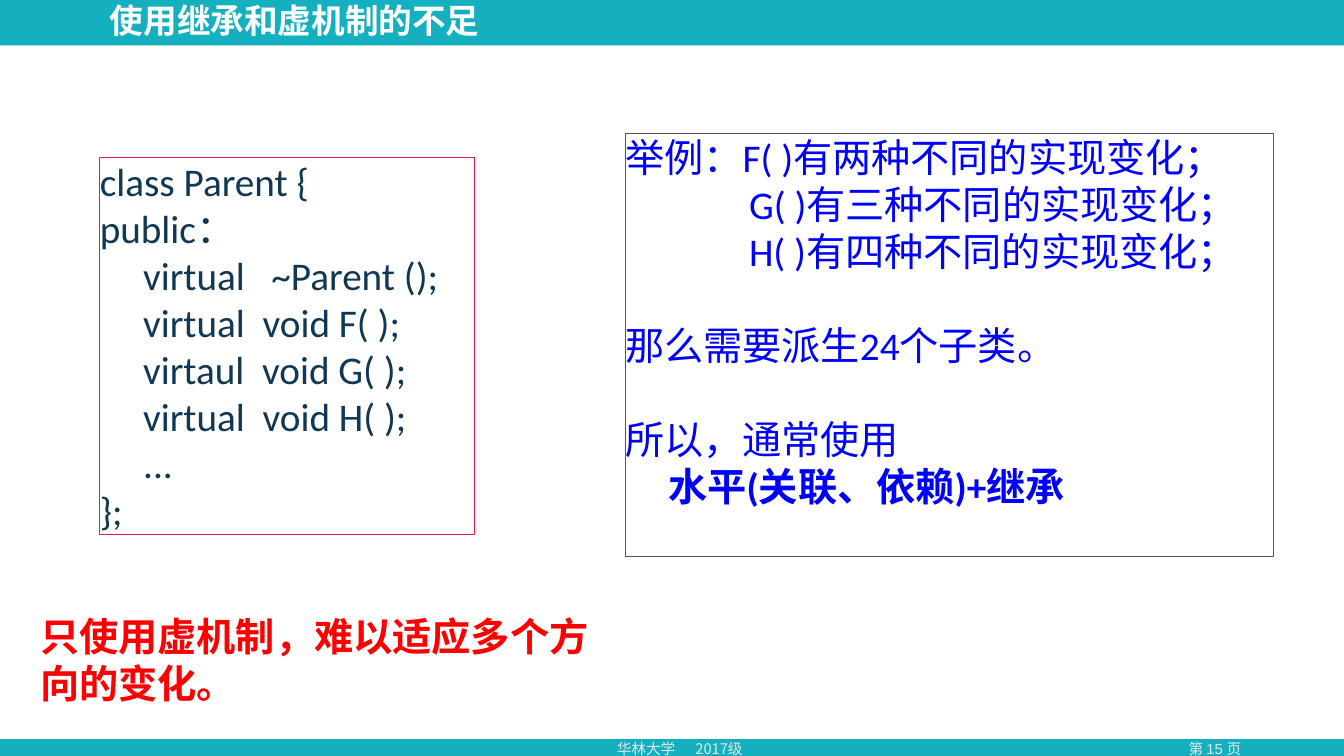
from pptx import Presentation
from pptx.dml.color import RGBColor
from pptx.enum.shapes import MSO_SHAPE
from pptx.enum.text import MSO_ANCHOR, MSO_AUTO_SIZE, PP_ALIGN
from pptx.util import Inches, Pt

RECT = MSO_SHAPE.RECTANGLE
TOP, BOTTOM = MSO_ANCHOR.TOP, MSO_ANCHOR.BOTTOM
LEFT, CENTER = PP_ALIGN.LEFT, PP_ALIGN.CENTER
FIXED = MSO_AUTO_SIZE.NONE
COLORS = {"teal": "14B0C0", "white": "FFFFFF", "pale": "E7E6E6", "navy": "103754",
          "blue": "0000FF", "red": "FF0000", "rose": "E61A4B", "gray": "555555"}
PITCH = 33.6  # line height of the 28 pt text, in points


def color(name):
    return RGBColor.from_string(COLORS[name])


class Deck:
    """Holds the style and the current slide."""

    def __init__(self):
        self.prs = Presentation()
        self.prs.slide_width, self.prs.slide_height = Inches(13.33), Inches(7.5)
        self.slide = self.prs.slides.add_slide(self.prs.slide_layouts[5])

    def place(self, shape, box):
        for key, value in zip(("left", "top", "width", "height"), box):
            setattr(shape, key, Inches(value))

    def frame(self, shape, inset=None, anchor=TOP, wrap=True):
        frame = shape.text_frame
        form = {"word_wrap": wrap, "auto_size": FIXED, "vertical_anchor": anchor}
        if inset is not None:
            form.update({f"margin_{side}": Inches(inset)
                         for side in ("left", "top", "right", "bottom")})
        for key, value in form.items():
            setattr(frame, key, value)
        return frame

    def fill_in(self, para, text, size, tint, font="Calibri", bold=False,
                align=LEFT, pitch=Pt(PITCH), gap=0):
        run = para.add_run()
        run.text = text
        form = {"size": Pt(size), "name": font, "bold": bold}
        for key, value in form.items():
            setattr(run.font, key, value)
        run.font.color.rgb = color(tint)
        form = {"alignment": align, "line_spacing": pitch, "space_before": Pt(gap)}
        for key, value in form.items():
            setattr(para, key, value)

    def rect(self, box, fill=None, line=None):
        shape = self.slide.shapes.add_shape(RECT, *map(Inches, box))
        shape.shadow.inherit = False
        if fill:
            shape.fill.solid()
            shape.fill.fore_color.rgb = color(fill)
        else:
            shape.fill.background()
        if line:
            shape.line.color.rgb = color(line)
            shape.line.width = Pt(0.75)
        else:
            shape.line.fill.background()
        return shape

    def title(self, box, text):
        shape = self.slide.shapes.title
        shape.element.getparent().append(shape.element)  # above the bands
        self.place(shape, box)
        frame = self.frame(shape, anchor=BOTTOM)
        self.fill_in(frame.paragraphs[0], text, 24, "white", "Arial", True, pitch=0.9)

    def label(self, box, text, size, tint, wrap=True, **form):
        shape = self.slide.shapes.add_textbox(*map(Inches, box))
        frame = self.frame(shape, wrap=wrap)
        self.fill_in(frame.paragraphs[0], text, size, tint, **form)

    def panel(self, box, lines, tint, fill, line):
        """Lines are (text, indent in inches, blank lines above, bold)."""
        frame = self.frame(self.rect(box, fill, line), inset=0)
        for i, (text, indent, gap, bold) in enumerate(lines):
            para = frame.add_paragraph() if i else frame.paragraphs[0]
            self.fill_in(para, text, 28, tint, bold=bold, gap=gap * PITCH)
            para._p.get_or_add_pPr().set("marL", str(int(Inches(indent))))


def main():
    deck = Deck()

    # Teal bands above and below a white field
    deck.rect((0, 0, 13.33, 7.5), "teal")
    deck.rect((0, 0.45, 13.33, 6.88), "white")

    # Footer
    foot = {"size": 10.5, "tint": "pale", "wrap": False, "pitch": 1.0}
    for left, text in ((6.02, "华林大学"), (6.8, "2017级")):
        deck.label((left, 7.29, 0.8, 0.28), text, font="Noto Sans CJK SC", **foot)
    deck.label((11.32, 7.29, 1.46, 0.28), "第 15 页", font="Arial", align=CENTER, **foot)

    deck.title((0.99, 0, 11.64, 0.45), "使用继承和虚机制的不足")

    # Example and its result
    deck.panel((6.2, 1.32, 6.43, 4.2), [
        ("举例：F( )有两种不同的实现变化；", 0, 0, False),
        ("G( )有三种不同的实现变化；", 1.23, 0, False),
        ("H( )有四种不同的实现变化；", 1.23, 0, False),
        ("那么需要派生24个子类。", 0, 1, False),
        ("所以，通常使用", 0, 1, False),
        ("水平(关联、依赖)+继承", 0.43, 0, True),
    ], "blue", None, "gray")

    # Conclusion
    deck.label((0.3, 6.03, 5.91, 1.03), "只使用虚机制，难以适应多个方向的变化。",
               28, "red", bold=True)

    # Class code: members are indented
    outer = ("class Parent {", "public：", "};")
    code = (*outer[:2], "virtual   ~Parent ();", "virtual  void F( );",
            "virtaul  void G( );", "virtual  void H( );", "...", outer[2])
    deck.panel((0.99, 1.56, 3.72, 3.74),
               [(text, 0 if text in outer else 0.43, 0, False) for text in code],
               "navy", "white", "rose")

    deck.prs.save("out.pptx")


if __name__ == "__main__":
    main()
